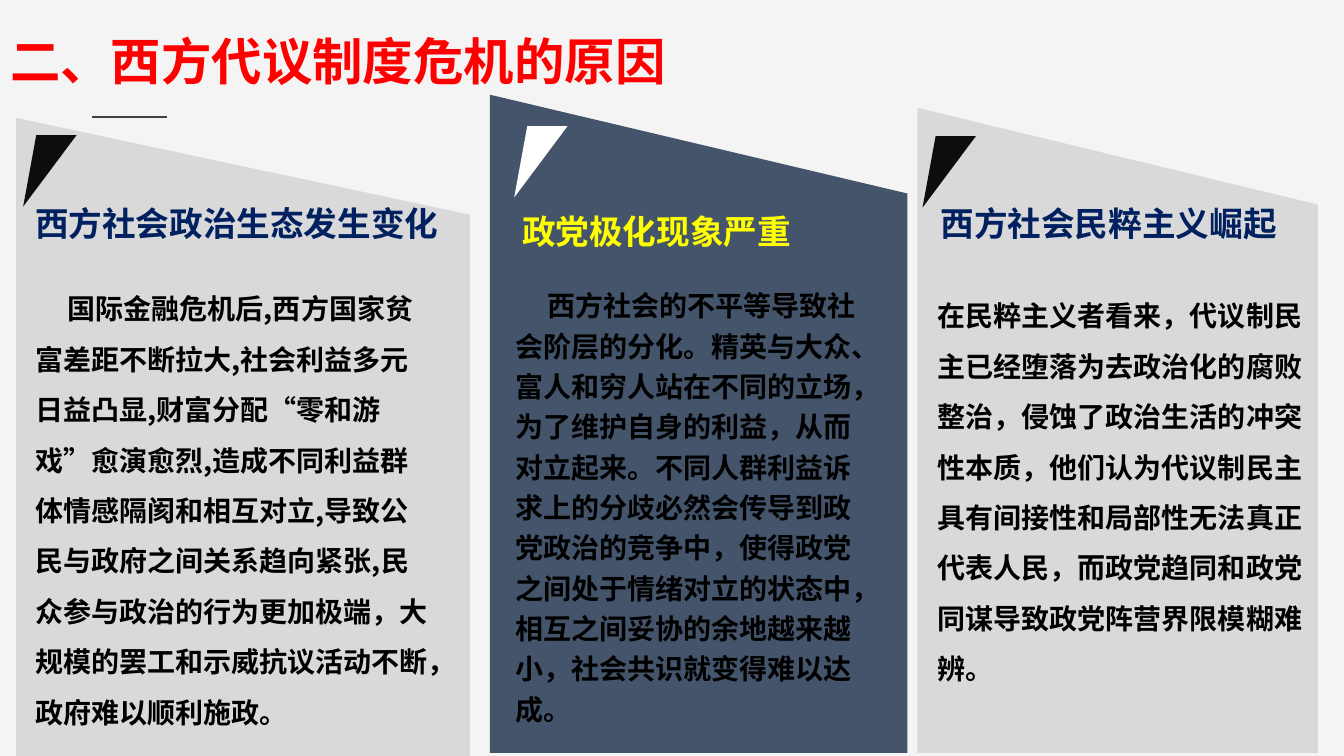
import pptx
import pptx.dml.color
import pptx.enum.shapes
import pptx.enum.text
import pptx.oxml.ns
import pptx.util
from dataclasses import dataclass
from lxml import etree

Inches = pptx.util.Inches


@dataclass(frozen=True)
class Theme:
    background: str = "F4F4F4"
    title_color: str = "FF0000"
    rule_color: str = "404040"
    gray: str = "808080"
    slate: str = "44546A"
    black: str = "000000"
    dark_flag: str = "0D0D0D"
    white: str = "FFFFFF"
    navy: str = "002060"
    yellow: str = "FFFF00"
    font: str = "Noto Sans CJK SC"
    latin_font: str = "Calibri"
    title_size: int = 36
    heading_size: int = 24
    body_size: int = 20


THEME = Theme()

COLUMNS = [
    dict(
        panel=(0.16, 1.17, 4.66, 2.13, 7.54), panel_color=THEME.gray, opacity=23,
        flag=(0.23, 2.05), flag_color=THEME.dark_flag,
        heading="西方社会政治生态发生变化", heading_box=(0.25, 1.96, 4.43, 0.5),
        heading_color=THEME.navy,
        body="国际金融危机后,西方国家贫富差距不断拉大,社会利益多元日益凸显,"
             "财富分配“零和游戏”愈演愈烈,造成不同利益群体情感隔阂和相互对立,"
             "导致公民与政府之间关系趋向紧张,民众参与政治的行为更加极端，"
             "大规模的罢工和示威抗议活动不断，政府难以顺利施政。",
        body_box=(0.25, 2.68, 4.18, 4.6),
        body_format=dict(font=THEME.font, line_spacing=1.5, indent=0.32),
    ),
    dict(
        panel=(4.86, 0.94, 9, 1.92, 7.47), panel_color=THEME.slate, opacity=100,
        flag=(5.1, 1.96), flag_color=THEME.white,
        heading="政党极化现象严重", heading_box=(5.08, 2.04, 2.87, 0.49),
        heading_color=THEME.yellow,
        body="西方社会的不平等导致社会阶层的分化。精英与大众、富人和穷人站在不同的立场，"
             "为了维护自身的利益，从而对立起来。不同人群利益诉求上的分歧必然会传导到"
             "政党政治的竞争中，使得政党之间处于情绪对立的状态中，"
             "相互之间妥协的余地越来越小，社会共识就变得难以达成。",
        body_box=(5.01, 2.75, 3.78, 4.52),
        body_format=dict(font=THEME.font, line_spacing=1.2, indent=0.32),
    ),
    dict(
        panel=(9.1, 1.07, 13.07, 2.03, 7.47), panel_color=THEME.gray, opacity=23,
        flag=(9.15, 2.06), flag_color=THEME.dark_flag,
        heading="西方社会民粹主义崛起", heading_box=(9.23, 1.96, 3.65, 0.5),
        heading_color=THEME.navy,
        body="在民粹主义者看来，代议制民主已经堕落为去政治化的腐败整治，"
             "侵蚀了政治生活的冲突性本质，他们认为代议制民主具有间接性和局部性"
             "无法真正代表人民，而政党趋同和政党同谋导致政党阵营界限模糊难辨。",
        body_box=(9.2, 2.75, 3.97, 4.09),
        body_format=dict(font=THEME.latin_font, line_spacing=1.5),
    ),
]


def rgb(color):
    return pptx.dml.color.RGBColor.from_string(color)


def add_child(parent, tag, **attributes):
    return etree.SubElement(parent, pptx.oxml.ns.qn(tag), **attributes)


def write_text(shape, text, *, size, color, font=THEME.font, align="LEFT",
               line_spacing=1.0, indent=0, side_margin=0.1, wrap=True):
    frame = shape.text_frame
    frame.auto_size = pptx.enum.text.MSO_AUTO_SIZE.NONE
    frame.word_wrap = wrap
    frame.margin_left = frame.margin_right = Inches(side_margin)
    frame.vertical_anchor = pptx.enum.text.MSO_ANCHOR.TOP
    paragraph = frame.paragraphs[0]
    paragraph.alignment = getattr(pptx.enum.text.PP_ALIGN, align)
    paragraph.line_spacing = line_spacing
    if indent:
        paragraph._p.get_or_add_pPr().set("indent", str(Inches(indent)))
    run = paragraph.add_run()
    run.text = text
    run.font.size = pptx.util.Pt(size)
    run.font.bold = True
    run.font.color.rgb = rgb(color)
    run.font.name = font
    add_child(run._r.get_or_add_rPr(), "a:ea", typeface=THEME.font)


class SlideBuilder:
    def __init__(self, slide, theme):
        self.slide = slide
        self.theme = theme
        fill = slide.background.fill
        fill.solid()
        fill.fore_color.rgb = rgb(theme.background)

    def title(self, text, box):
        shape = self.slide.shapes.title
        shape.left, shape.top, shape.width, shape.height = map(Inches, box)
        write_text(shape, text, size=self.theme.title_size,
                   color=self.theme.title_color, align="CENTER",
                   side_margin=0, wrap=False)

    def text(self, text, box, **text_format):
        shape = self.slide.shapes.add_textbox(*map(Inches, box))
        write_text(shape, text, **text_format)

    def polygon(self, points, color, opacity=100):
        start, *rest = [(Inches(x), Inches(y)) for x, y in points]
        builder = self.slide.shapes.build_freeform(*start)
        builder.add_line_segments(rest, close=True)
        shape = builder.convert_to_shape()
        shape.shadow.inherit = False
        shape.line.fill.background()
        shape.fill.solid()
        shape.fill.fore_color.rgb = rgb(color)
        if opacity < 100:
            color_element = shape._element.spPr.find(
                pptx.oxml.ns.qn("a:solidFill"))[0]
            add_child(color_element, "a:alpha", val=str(opacity * 1000))

    def panel(self, left, top, right, right_top, bottom, color, opacity):
        self.polygon([(left, top), (right, right_top), (right, bottom),
                      (left, bottom)], color, opacity)

    def flag(self, tip_x, tip_y, color):
        top = tip_y - 0.71
        self.polygon([(tip_x, tip_y), (tip_x + 0.13, top),
                      (tip_x + 0.53, top)], color)

    def rule(self, left, right, y):
        connector = self.slide.shapes.add_connector(
            pptx.enum.shapes.MSO_CONNECTOR.STRAIGHT,
            Inches(left), Inches(y), Inches(right), Inches(y))
        connector.line.color.rgb = rgb(self.theme.rule_color)
        connector.line.width = pptx.util.Pt(1.5)
        add_child(connector._element.spPr, "a:effectLst")

    def column(self, column):
        self.panel(*column["panel"], column["panel_color"], column["opacity"])
        self.flag(*column["flag"], column["flag_color"])
        self.text(column["heading"], column["heading_box"],
                  size=self.theme.heading_size, color=column["heading_color"])
        self.text(column["body"], column["body_box"], size=self.theme.body_size,
                  color=self.theme.black, **column["body_format"])


def main():
    presentation = pptx.Presentation()
    presentation.slide_width = Inches(13.33)
    presentation.slide_height = Inches(7.5)
    title_only = presentation.slide_layouts[5]
    builder = SlideBuilder(presentation.slides.add_slide(title_only), THEME)
    builder.title("二、西方代议制度危机的原因", (0, 0.25, 6.7, 0.68))
    for column in COLUMNS:
        builder.column(column)
    builder.rule(0.91, 1.66, 1.16)
    presentation.save("out.pptx")


if __name__ == "__main__":
    main()
